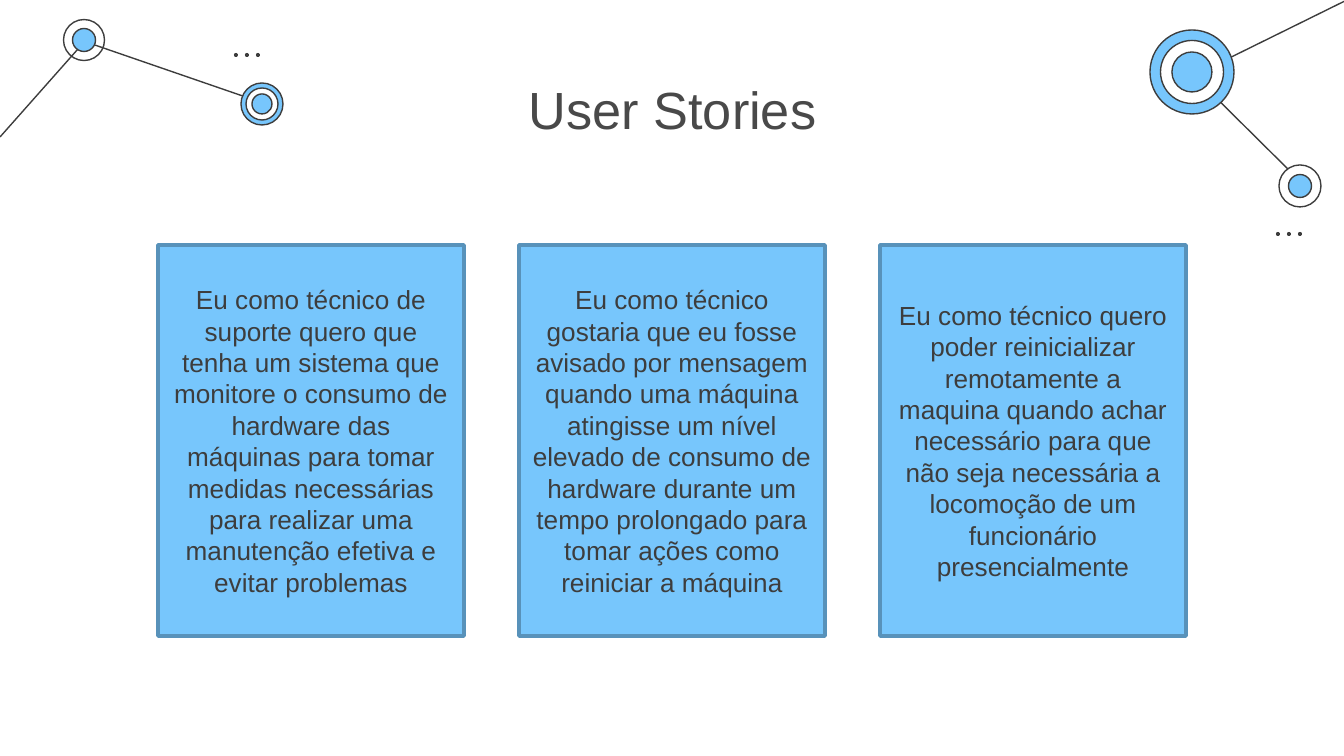
from lxml.etree import SubElement
from pptx import Presentation
from pptx.dml.color import RGBColor
from pptx.enum.shapes import MSO_CONNECTOR as CONN, MSO_SHAPE as SHAPE
from pptx.enum.text import MSO_ANCHOR as ANCHOR, PP_ALIGN as ALIGN
from pptx.oxml.ns import qn
from pptx.util import Inches, Pt

# Content
TITLE = "User Stories"
STORIES = [
    "Eu como técnico de suporte quero que tenha um sistema que monitore o consumo "
    "de hardware das máquinas para tomar medidas necessárias para realizar uma "
    "manutenção efetiva e evitar problemas",
    "Eu como técnico gostaria que eu fosse avisado por mensagem quando uma máquina "
    "atingisse um nível elevado de consumo de hardware durante um tempo prolongado "
    "para tomar ações como reiniciar a máquina",
    "Eu como técnico quero poder reinicializar remotamente a maquina quando achar "
    "necessário para que não seja necessária a locomoção de um funcionário "
    "presencialmente",
]

COLORS = {"ink": "3D3D3D", "title": "494949", "blue": "77C6FC",
          "edge": "5892BA", "white": "FFFFFF"}

# Network decoration in px: links, then nodes as centre and (diameter, fill) rings
LINKS = [(1300, 181, 1192, 74), (86, 42, 263, 103), (0, 137, 86, 40),
         (1345, 1, 1197, 74)]
NODES = [
    (84, 40, [(41, None), (23, "blue")]),
    (262, 104, [(42, "blue"), (32, "white"), (20, "blue")]),
    (1192, 72, [(84, "blue"), (63, "white"), (40, "blue")]),
    (1300, 186, [(42, "white"), (23, "blue")]),
]
DOT_ROWS = [(234, 53), (1276, 232)]
DOT, DOT_STEP = 4, 11

# Card grid in px
CARD_X, CARD_Y, CARD_W, CARD_H, CARD_STEP = 158, 245, 306, 391, 361


def px(n):
    return round(n * 914400 / 134.4)


def rgb(name):
    return RGBColor.from_string(COLORS[name])


def add_text(tf, text, size, color):
    tf.word_wrap = True
    tf.vertical_anchor = ANCHOR.MIDDLE
    p = tf.paragraphs[0]
    p.alignment = ALIGN.CENTER
    r = p.add_run()
    r.text = text
    r.font.name = "Arial"
    r.font.size = Pt(size)
    r.font.color.rgb = rgb(color)


def add_box(kind, x, y, w, h, fill=None, line=None, width=0.75):
    sp = s.shapes.add_shape(kind, px(x), px(y), px(w), px(h))
    sp.shadow.inherit = False
    if fill:
        sp.fill.solid()
        sp.fill.fore_color.rgb = rgb(fill)
    else:
        sp.fill.background()
    if line:
        sp.line.color.rgb = rgb(line)
        sp.line.width = Pt(width)
    else:
        sp.line.fill.background()
    return sp


prs = Presentation()
prs.slide_width, prs.slide_height = px(1344), px(756)
s = prs.slides.add_slide(prs.slide_layouts[5])

# Links
for x1, y1, x2, y2 in LINKS:
    link = s.shapes.add_connector(CONN.STRAIGHT, px(x1), px(y1), px(x2), px(y2))
    link.line.color.rgb = rgb("ink")
    link.line.width = Pt(0.75)
    SubElement(link._element.spPr, qn("a:effectLst"))

# Nodes
for cx, cy, rings in NODES:
    for d, fill in rings:
        add_box(SHAPE.OVAL, cx - d / 2, cy - d / 2, d, d, fill, "ink")

# Dots
for x, y in DOT_ROWS:
    for i in range(3):
        add_box(SHAPE.OVAL, x + i * DOT_STEP, y, DOT, DOT, "ink")

# Title
title = s.shapes.title
title.left, title.top, title.width, title.height = px(231), px(65), px(883), px(87)
tf = title.text_frame
tf.margin_left = tf.margin_right = tf.margin_top = tf.margin_bottom = Inches(0.1)
add_text(tf, TITLE, 28, "title")

# Story cards
for i, story in enumerate(STORIES):
    card = add_box(SHAPE.RECTANGLE, CARD_X + i * CARD_STEP, CARD_Y, CARD_W, CARD_H,
                   "blue", "edge", 2)
    add_text(card.text_frame, story, 14, "ink")

prs.save("out.pptx")
